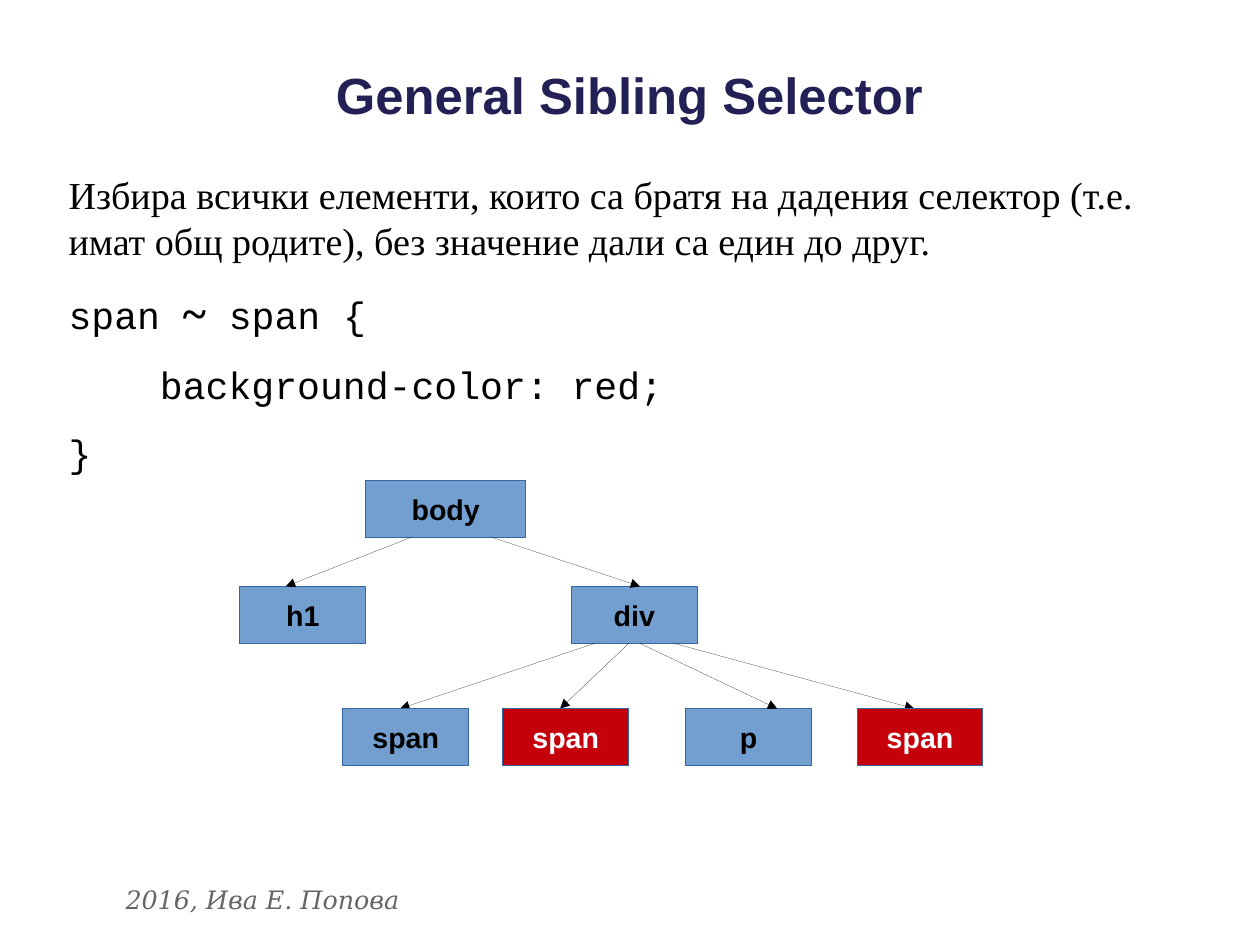
"""Build the General Sibling Selector slide with its element tree."""
from dataclasses import dataclass

from lxml import etree
from pptx import Presentation
from pptx.dml.color import RGBColor
from pptx.enum.shapes import MSO_CONNECTOR, MSO_SHAPE
from pptx.enum.text import MSO_ANCHOR, PP_ALIGN
from pptx.oxml.ns import qn
from pptx.util import Cm, Inches, Pt

RECT, STRAIGHT = MSO_SHAPE.RECTANGLE, MSO_CONNECTOR.STRAIGHT
MIDDLE, CENTER, LEFT = MSO_ANCHOR.MIDDLE, PP_ALIGN.CENTER, PP_ALIGN.LEFT
TITLE_ONLY = 5


@dataclass(frozen=True)
class Theme:
    """Fonts, colours and type sizes of the slide."""
    sans: str = "Arial"
    serif: str = "Times New Roman"
    mono: str = "Courier New"
    footer_font: str = "DejaVu Serif"
    title: str = "232056"
    ink: str = "000000"
    footer: str = "666666"
    node: str = "729FCF"
    match: str = "C5000B"
    match_text: str = "FFFFFF"
    border: str = "3465A4"
    title_size: int = 32
    tilde_size: int = 28
    body_size: int = 24
    node_size: int = 18
    footer_size: int = 16


T = Theme()
UNIT = 0.1
LEVELS = (4.2, 5.13, 6.2)
NODE_H = 0.5
FRONT, BACK = True, False

# Node: label, left column, width in columns, level, matched, in front of arrows
NODES = (
    ("h1", 21, 11, 1, False, BACK),
    ("div", 50, 11, 1, False, BACK),
    ("body", 32, 14, 0, False, BACK),
    ("p", 60, 11, 2, False, BACK),
    ("span", 30, 11, 2, False, FRONT),
    ("span", 44, 11, 2, True, FRONT),
    ("span", 75, 11, 2, True, FRONT),
)
# Arrow: parent level, column at the parent, column at the child
ARROWS = ((0, 36, 25), (0, 43, 56), (1, 56, 68), (1, 55, 49), (1, 52, 35), (1, 59, 80))


def col(n):
    """Return the position of grid column n."""
    return Inches(n * UNIT)


def add_run(p, text, font, size, color, bold=False, italic=False):
    """Append one formatted run to a paragraph."""
    r = p.add_run()
    r.text = text
    r.font.name, r.font.size = font, Pt(size)
    r.font.bold, r.font.italic = bold, italic
    r.font.color.rgb = RGBColor.from_string(color)


def set_margins(tf, x=0, y=0):
    """Set the horizontal and vertical insets of a text frame."""
    tf.margin_left = tf.margin_right = Inches(x)
    tf.margin_top = tf.margin_bottom = Inches(y)


def set_hairline(line, color):
    """Give a line its colour and an explicit zero width, and return its XML."""
    line.color.rgb = RGBColor.from_string(color)
    ln = line._get_or_add_ln()
    ln.set("w", "0")
    return ln


def add_title(s, text):
    """Place and format the title placeholder."""
    sp = s.shapes.title
    sp.left, sp.top, sp.width, sp.height = map(Inches, (0.55, 0.41, 9.92, 0.83))
    tf = sp.text_frame
    set_margins(tf)
    tf.vertical_anchor = MIDDLE
    tf.paragraphs[0].alignment = CENTER
    add_run(tf.paragraphs[0], text, T.sans, T.title_size, T.title, bold=True)


def add_text(s, box, paragraphs, inset=(0, 0), before=0):
    """Add a text box from (indent, runs) paragraphs."""
    tf = s.shapes.add_textbox(*map(Inches, box)).text_frame
    tf.word_wrap = True
    set_margins(tf, *inset)
    for i, (indent, runs) in enumerate(paragraphs):
        p = tf.add_paragraph() if i else tf.paragraphs[0]
        p.alignment = LEFT
        p.space_before = Pt(before)
        if indent:
            p._p.get_or_add_pPr().set("marL", str(Inches(indent)))
        for run in runs:
            add_run(p, *run)


def add_node(s, label, left, width, level, matched):
    """Add one box of the element tree."""
    sp = s.shapes.add_shape(RECT, col(left), Inches(LEVELS[level]), col(width), Inches(NODE_H))
    sp.shadow.inherit = False
    sp.fill.solid()
    sp.fill.fore_color.rgb = RGBColor.from_string(T.match if matched else T.node)
    set_hairline(sp.line, T.border)
    tf = sp.text_frame
    tf.word_wrap = False
    set_margins(tf, 0.1, 0.05)
    tf.vertical_anchor = MIDDLE
    p = tf.paragraphs[0]
    p.alignment = CENTER
    add_run(p, label, T.sans, T.node_size, T.match_text if matched else T.ink, bold=True)


def add_arrow(s, level, start, end):
    """Add an arrow from a level of the tree to the next one."""
    c = s.shapes.add_connector(STRAIGHT, col(start), Inches(LEVELS[level] + NODE_H),
                               col(end), Inches(LEVELS[level + 1]))
    ln = set_hairline(c.line, T.ink)
    etree.SubElement(ln, qn("a:tailEnd"), type="triangle")
    etree.SubElement(c._element.spPr, qn("a:effectLst"))


def add_tree(s):
    """Add the element tree, with the arrows between back and front nodes."""
    for layer in (BACK, FRONT):
        for *node, front in NODES:
            if front == layer:
                add_node(s, *node)
        if layer == BACK:
            for arrow in ARROWS:
                add_arrow(s, *arrow)


def main():
    """Build and save the slide."""
    prs = Presentation()
    prs.slide_width, prs.slide_height = Cm(28), Cm(21)
    s = prs.slides.add_slide(prs.slide_layouts[TITLE_ONLY])
    add_title(s, "General Sibling Selector")
    add_text(s, (1, 7.69, 2.9, 0.31), [
        (0, [("2016, Ива Е. Попова", T.footer_font, T.footer_size, T.footer, False, True)]),
    ], inset=(0.1, 0.05))
    code = (T.mono, T.body_size, T.ink)
    add_text(s, (0.6, 1.5, 9.6, 6.1), [
        (0, [("Избира всички елементи, които са братя на дадения селектор (т.е. "
              "имат общ родите), без значение дали са един до друг.",
              T.serif, T.body_size, T.ink)]),
        (0, [("span ", *code),
             ("~", T.serif, T.tilde_size, T.ink, True),
             (" span {", *code)]),
        (0.8, [("background-color: red;", *code)]),
        (0, [("}", *code)]),
    ], before=14.2)
    add_tree(s)
    prs.save("out.pptx")


if __name__ == "__main__":
    main()
